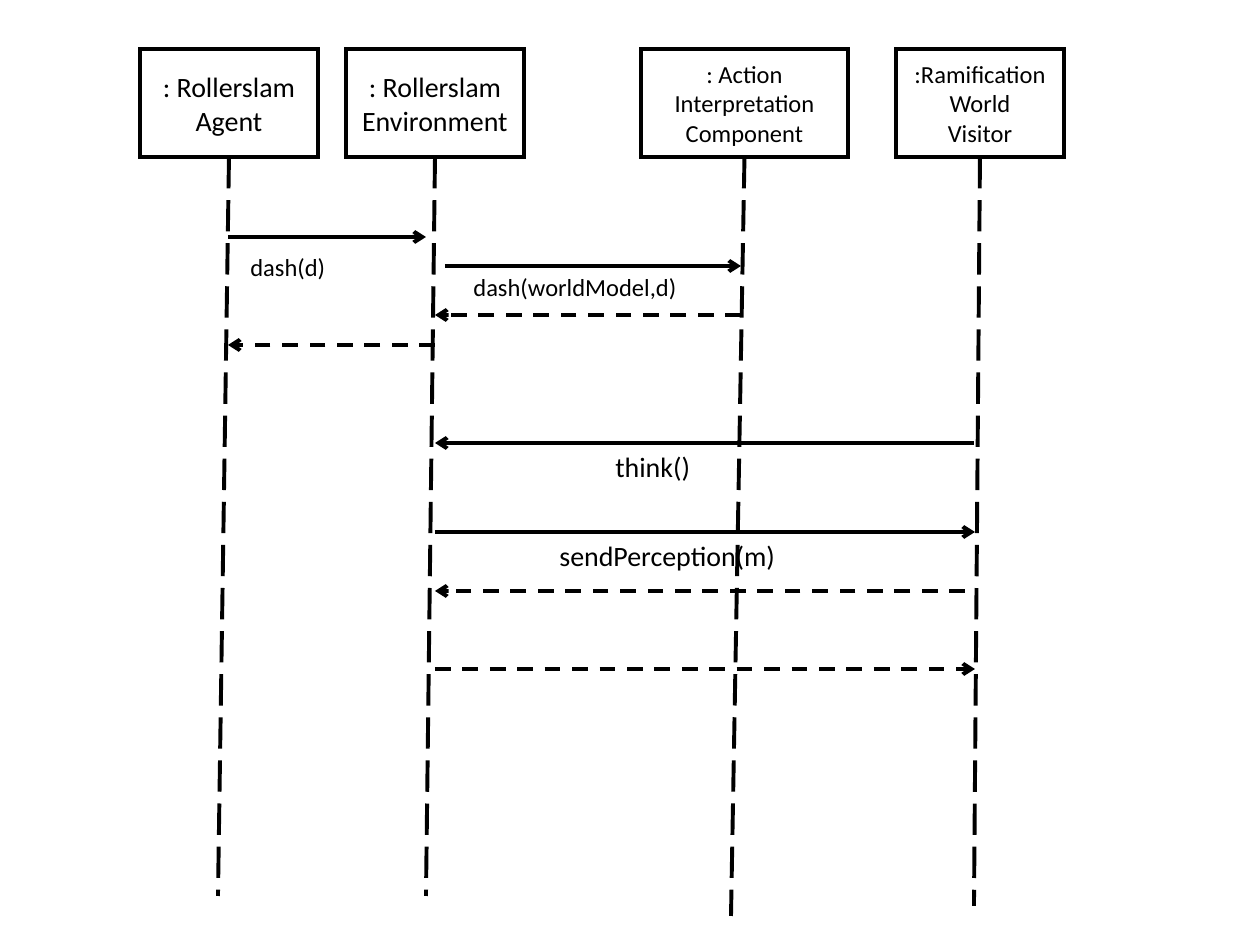
from lxml.etree import SubElement
from pptx import Presentation
from pptx.dml.color import RGBColor
from pptx.enum.dml import MSO_LINE
from pptx.enum.shapes import MSO_CONNECTOR, MSO_SHAPE
from pptx.enum.text import MSO_ANCHOR, MSO_AUTO_SIZE, PP_ALIGN
from pptx.oxml.ns import qn
from pptx.util import Pt

EMU_PER_PX = 914400 / 126
COLORS = {"ink": "000000", "paper": "FFFFFF"}
BOX_TOP, BOX_HEIGHT = 49, 108
BOTTOM_SIDE = 2

# left, width, font size, lines of the name, foot of the lifeline
PARTICIPANTS = [
    (140, 178, 16, [": Rollerslam", "Agent"], (218, 896)),
    (346, 178, 16, [": Rollerslam", "Environment"], (426, 896)),
    (641, 207, 14, [": Action", "Interpretation", "Component"], (731, 916)),
    (896, 168, 14, [":Ramification", "World", "Visitor"], (974, 906)),
]
# start x, end x, y, dash style
MESSAGES = [
    (228, 426, 237, None),
    (445, 741, 266, None),
    (741, 435, 315, MSO_LINE.DASH),
    (435, 228, 345, MSO_LINE.DASH),
    (974, 435, 443, None),
    (435, 975, 532, None),
    (965, 435, 591, MSO_LINE.DASH),
    (435, 975, 669, MSO_LINE.DASH),
]
# text, left, top, width, height, font size
LABELS = [
    ("dash(d)", 238, 246, 287, 43, 14),
    ("dash(worldModel,d)", 461, 266, 244, 43, 14),
    ("think()", 603, 443, 112, 47, 16),
    ("sendPerception(m)", 547, 532, 256, 47, 16),
]


def px(*lengths):
    """Turn pixel lengths into a list of EMU."""
    return [round(length * EMU_PER_PX) for length in lengths]


def color(name):
    """Return a named colour."""
    return RGBColor.from_string(COLORS[name])


def write_text(shape, lines, size, align=PP_ALIGN.LEFT, anchor=MSO_ANCHOR.TOP):
    """Write one paragraph for each line in a shape."""
    frame = shape.text_frame
    frame.word_wrap = True
    frame.vertical_anchor = anchor
    frame.text = "\n".join(lines)
    for paragraph in frame.paragraphs:
        paragraph.alignment = align
        paragraph.font.size = Pt(size)
        paragraph.font.name = "Calibri"
        paragraph.font.color.rgb = color("ink")


def add_line(slide, start, end, dash=None, arrow=False):
    """Add a straight line, dashed or with an arrowhead if asked."""
    connector = slide.shapes.add_connector(MSO_CONNECTOR.STRAIGHT, *px(*start, *end))
    connector.line.color.rgb = color("ink")
    connector.line.width = Pt(2.25)
    if dash:
        connector.line.dash_style = dash
    properties = connector._element.spPr
    if arrow:
        SubElement(properties.find(qn("a:ln")), qn("a:tailEnd"), type="arrow")
    SubElement(properties, qn("a:effectLst"))
    return connector


def add_participant(slide, left, width, size, lines, foot):
    """Add a participant box with square corners and its lifeline."""
    box = slide.shapes.add_shape(
        MSO_SHAPE.RECTANGLE, *px(left, BOX_TOP, width, BOX_HEIGHT)
    )
    box.shadow.inherit = False
    box.fill.solid()
    box.fill.fore_color.rgb = color("paper")
    box.line.color.rgb = color("ink")
    box.line.width = Pt(2)
    SubElement(box._element.spPr.find(qn("a:ln")), qn("a:miter"), lim="800000")
    write_text(box, lines, size, align=PP_ALIGN.CENTER, anchor=MSO_ANCHOR.MIDDLE)
    head = (left + width / 2, BOX_TOP + BOX_HEIGHT)
    lifeline = add_line(slide, head, foot, dash=MSO_LINE.LONG_DASH)
    lifeline.begin_connect(box, BOTTOM_SIDE)


def add_label(slide, text, left, top, width, height, size):
    """Add the name of a message."""
    label = slide.shapes.add_textbox(*px(left, top, width, height))
    write_text(label, [text], size)
    label.text_frame.auto_size = MSO_AUTO_SIZE.SHAPE_TO_FIT_TEXT


def main():
    """Build the sequence diagram."""
    presentation = Presentation()
    presentation.slide_width, presentation.slide_height = px(1260, 945)
    slide = presentation.slides.add_slide(presentation.slide_layouts[6])
    for participant in PARTICIPANTS:
        add_participant(slide, *participant)
    for start, end, y, dash in MESSAGES:
        add_line(slide, (start, y), (end, y), dash=dash, arrow=True)
    for label in LABELS:
        add_label(slide, *label)
    presentation.save("out.pptx")


if __name__ == "__main__":
    main()
